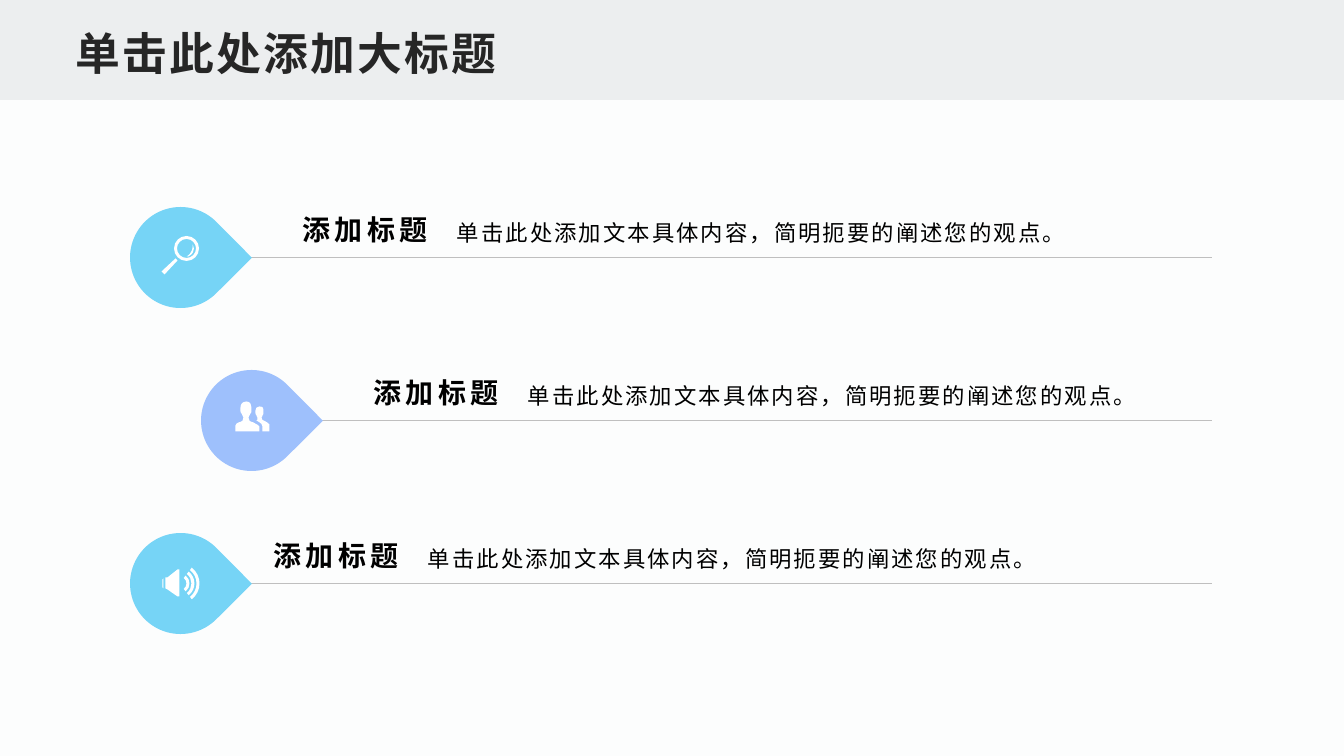
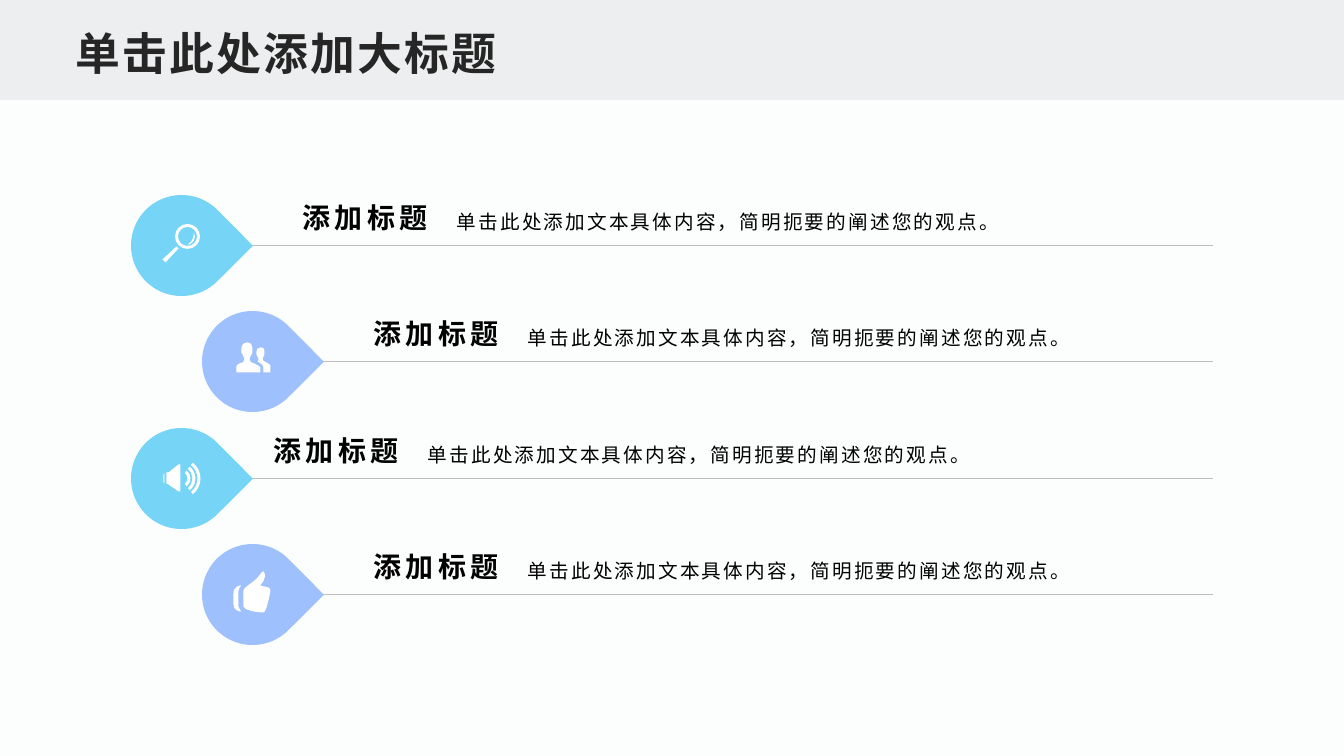
from math import cos, radians, sin, tan

from lxml import etree
from pptx import Presentation
from pptx.dml.color import RGBColor
from pptx.enum.shapes import MSO_CONNECTOR, MSO_SHAPE
from pptx.enum.text import MSO_ANCHOR, PP_ALIGN
from pptx.oxml.ns import qn
from pptx.util import Pt

EMU_PER_PX = 914400 / 100.8
SLIDE_W, SLIDE_H = 1344, 756
STRAIGHT = MSO_CONNECTOR.STRAIGHT
RECTANGLE, TEARDROP = MSO_SHAPE.RECTANGLE, MSO_SHAPE.TEAR
MIDDLE, BOTTOM = MSO_ANCHOR.MIDDLE, MSO_ANCHOR.BOTTOM
LEFT, CENTER = PP_ALIGN.LEFT, PP_ALIGN.CENTER

FONT = "Arial"
PAPER, BAND, TITLE_INK, INK = "FCFDFD", "ECEEEF", "262626", "000000"
RULE, SKY, PERIWINKLE, WHITE = "BFBFBF", "76D4F6", "9EC0FC", "FFFFFF"

TITLE = "单击此处添加大标题"
HEADING = "添加标题"
BODY = "单击此处添加文本具体内容，简明扼要的阐述您的观点。"

BAND_H, DROP, DROP_INDENT, RULE_W = 100, 101, 71, 1082
HEADING_W, BODY_W, BODY_OFFSET = 154, 696, 159
FINE = 10


def px(length):
    """Turn pixels into EMU."""
    return round(length * EMU_PER_PX)


def color(hex_string):
    """Turn a hex string into a colour."""
    return RGBColor.from_string(hex_string)


def arc(cx, cy, radius, start=0, end=360, pieces=4):
    """Outline a circular arc as cubic segments, angles in degrees."""
    step = radians(end - start) / pieces
    pull = 4 / 3 * tan(step / 4) * radius
    outline = [(cx + radius * cos(radians(start)), cy + radius * sin(radians(start)))]
    for i in range(pieces):
        a = radians(start) + step * i
        b = a + step
        x0, y0 = cx + radius * cos(a), cy + radius * sin(a)
        x1, y1 = cx + radius * cos(b), cy + radius * sin(b)
        outline.append((x0 - pull * sin(a), y0 + pull * cos(a),
                        x1 + pull * sin(b), y1 - pull * cos(b), x1, y1))
    return outline


def wave(radius, thickness=3, spread=52):
    """Outline one sound wave as a band between two arcs."""
    return (arc(-1, 0, radius, -spread, spread, 1)
            + arc(-1, 0, radius - thickness, spread, -spread, 1))


MAGNIFIER = [
    [(-5, 1), (-3, 3), (-16, 17), (-19, 14)],
    [(12, -13), (12, -13, 17, -6, 8, -1), (6, -1), (6, -1, 13, -4, 12, -13)],
    arc(6, -9, 9.5),
    arc(6, -9, 12.5),
]
PEOPLE = [
    [(18, 11), (18, 4), (17, 3, 16, 2, 14, 1), (11, 0, 10, -1, 10, -3),
     (10, -4, 11, -3, 11, -5), (11, -6, 12, -5, 12, -7), (12, -10),
     (12, -12, 12, -14, 8, -14), (5, -14, 4, -12, 4, -10), (4, -7),
     (4, -5, 5, -6, 5, -5), (5, -3, 6, -4, 6, -3), (6, -1, 6, 0, 5, 0),
     (10, 3, 11, 4, 11, 6), (11, 11)],
    [(2, 2), (-2, 1, -3, 0, -3, -3), (-3, -4, -2, -4, -1, -7),
     (-1, -8, 0, -7, 0, -9), (0, -13), (0, -15, -1, -19, -5, -19),
     (-10, -19, -11, -15, -11, -13), (-11, -9), (-11, -7, -10, -8, -10, -7),
     (-9, -4, -8, -4, -8, -3), (-8, 0, -9, 1, -13, 2),
     (-14, 3, -16, 3, -16, 5), (-16, 11), (8, 11), (8, 6), (8, 5, 5, 4, 2, 2)],
]
SPEAKER = [
    [(-17, -5), (-17, 5), (-18, 4), (-18, -4)],
    [(-15, -6), (-13, -6), (-3, -14), (-1, -14), (-1, 13), (-3, 13),
     (-13, 6), (-15, 5)],
    *[wave(radius) for radius in (10, 15, 20)],
]
THUMB = [
    [(8, -9), (8, -10, 16, -17, 11, -23), (10, -25, 6, -16, 1, -13),
     (-2, -11, -9, -6, -9, -4), (-9, 12), (-9, 15, 2, 18, 11, 18),
     (14, 18, 18, -2, 18, -5), (18, -8, 8, -8, 8, -9)],
    [(-12, -9), (-13, -9, -19, -8, -19, -1), (-19, 10),
     (-19, 16, -13, 17, -12, 17), (-10, 17, -14, 15, -14, 12), (-14, -3),
     (-14, -7, -10, -9, -12, -9)],
]
ICONS = [MAGNIFIER, PEOPLE, SPEAKER, THUMB]
HEADING_SHIFTS = [0, 0, -29, 0]


def paint(shape, fill):
    """Give a shape a plain fill without line or shadow."""
    shape.shadow.inherit = False
    shape.fill.solid()
    shape.fill.fore_color.rgb = color(fill)
    shape.line.fill.background()


def add_text(slide, box, text, *, size, ink=INK, bold=False, tracking=1.5,
             align=LEFT, anchor=MIDDLE, spacing=1.0, insets=(10, 5)):
    """Place one line of formatted text in a box."""
    text_box = slide.shapes.add_textbox(*map(px, box))
    frame = text_box.text_frame
    frame.word_wrap = True
    frame.vertical_anchor = anchor
    frame.margin_left = frame.margin_right = px(insets[0])
    frame.margin_top = frame.margin_bottom = px(insets[1])
    paragraph = frame.paragraphs[0]
    paragraph.alignment = align
    paragraph.line_spacing = spacing
    run = paragraph.add_run()
    run.text = text
    run.font.size = Pt(size)
    run.font.bold = bold
    run.font.color.rgb = color(ink)
    run.font.name = FONT
    properties = run.font._element
    properties.set("lang", "zh-CN")
    properties.set("spc", str(round(tracking * 100)))
    etree.SubElement(properties, qn("a:ea")).set("typeface", FONT)


def add_rule(slide, left, right, y):
    """Draw a thin horizontal rule."""
    rule = slide.shapes.add_connector(STRAIGHT, px(left), px(y), px(right), px(y))
    rule.line.color.rgb = color(RULE)
    rule.line.width = Pt(0.25)
    etree.SubElement(rule._element.spPr, qn("a:effectLst"))


def bend(shape, outlines):
    """Join the straight steps of each cubic segment into one curve."""
    steps = iter(list(shape._element.iter(qn("a:lnTo"))))
    for segment in (s for outline in outlines for s in outline[1:]):
        step = next(steps)
        if len(segment) == 6:
            curve = etree.Element(qn("a:cubicBezTo"))
            step.addprevious(curve)
            for part in (step, next(steps), next(steps)):
                curve.append(part[0])
                part.getparent().remove(part)


def add_icon(slide, cx, cy, outlines):
    """Draw a white icon around a centre point."""
    contours = [[(s[i] * FINE, s[i + 1] * FINE) for s in outline
                 for i in range(0, len(s), 2)] for outline in outlines]
    builder = slide.shapes.build_freeform(*contours[0][0], scale=EMU_PER_PX / FINE)
    builder.add_line_segments(contours[0][1:], close=True)
    for contour in contours[1:]:
        builder.move_to(*contour[0])
        builder.add_line_segments(contour[1:], close=True)
    icon = builder.convert_to_shape(px(cx), px(cy))
    bend(icon, outlines)
    paint(icon, WHITE)


def add_title_slide_base(deck):
    """Add a slide with the shared background, band and title."""
    slide = deck.slides.add_slide(deck.slide_layouts[6])
    slide.background.fill.solid()
    slide.background.fill.fore_color.rgb = color(PAPER)
    band = slide.shapes.add_shape(RECTANGLE, 0, 0, px(SLIDE_W), px(BAND_H))
    paint(band, BAND)
    add_text(slide, (68, 17, 1210, 67), TITLE, size=32, ink=TITLE_INK,
             bold=True, anchor=BOTTOM, insets=(8, 4))
    return slide


def add_item(slide, left, top, rule_right, fill, icon, heading_offset, text_box,
             body_size, heading_spacing):
    """Place a drop with icon, rule, heading and body from its top left corner."""
    cx, cy = left + DROP / 2, top + DROP / 2
    add_rule(slide, left + 2, rule_right, cy)
    drop = slide.shapes.add_shape(TEARDROP, *map(px, (left, top, DROP, DROP)))
    drop.rotation = 45.2
    paint(drop, fill)
    add_icon(slide, cx, cy, icon)
    text_offset, text_h = text_box
    text_top = top + text_offset
    heading_left = left + heading_offset
    add_text(slide, (heading_left + BODY_OFFSET, text_top, BODY_W, text_h), BODY,
             size=body_size, spacing=1.2)
    add_text(slide, (heading_left, text_top, HEADING_W, text_h), HEADING, size=20,
             bold=True, tracking=3, align=CENTER, spacing=heading_spacing)


def add_list_slide(deck, count, left, top, span, heading_offset, **item_format):
    """Add a slide whose items are spread evenly and step in and out."""
    slide = add_title_slide_base(deck)
    for i in range(count):
        indented = i % 2
        add_item(slide, left + indented * DROP_INDENT,
                 top + round(span * i / (count - 1)), left + RULE_W,
                 PERIWINKLE if indented else SKY, ICONS[i],
                 heading_offset + HEADING_SHIFTS[i], **item_format)


def main():
    """Build and save the deck."""
    deck = Presentation()
    deck.slide_width, deck.slide_height = px(SLIDE_W), px(SLIDE_H)
    add_list_slide(deck, 3, 130, 207, 326, 158, text_box=(0, 45), body_size=16,
                   heading_spacing=1.0)
    add_list_slide(deck, 4, 131, 195, 349, 157, text_box=(3, 42), body_size=14,
                   heading_spacing=0.9)
    deck.save("out.pptx")


if __name__ == "__main__":
    main()
